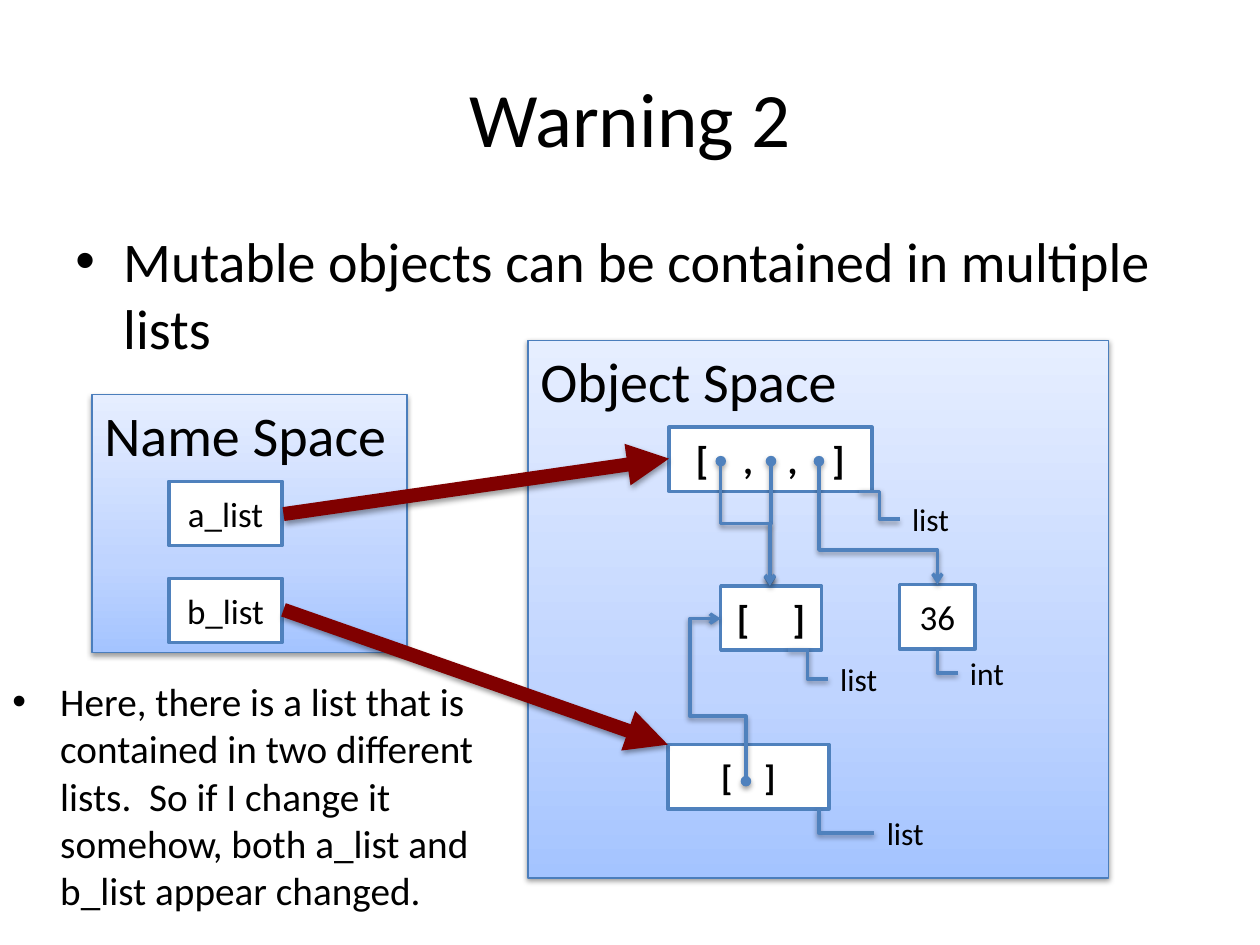
import copy

import lxml.etree
import pptx
import pptx.dml.color
import pptx.enum.shapes
import pptx.enum.text
import pptx.oxml.ns
import pptx.util

Inches = pptx.util.Inches
Pt = pptx.util.Pt
qn = pptx.oxml.ns.qn
ALIGN = pptx.enum.text.PP_ALIGN
ANCHOR = pptx.enum.text.MSO_ANCHOR
CONNECTOR = pptx.enum.shapes.MSO_CONNECTOR
RECT = pptx.enum.shapes.MSO_SHAPE.RECTANGLE


def rgb(color):
    return pptx.dml.color.RGBColor.from_string(color)


def child(parent, tag, **attrs):
    el = lxml.etree.SubElement(parent, qn(tag))
    for name, value in attrs.items():
        el.set(name, str(value))
    return el


def write(tf, text, size=20, bold=False, align=ALIGN.LEFT,
          anchor=ANCHOR.TOP, wrap=True, bullet=False):
    tf.word_wrap = wrap
    tf.vertical_anchor = anchor
    p = tf.paragraphs[0]
    p.alignment = align
    if bullet:
        pPr = p._p.get_or_add_pPr()
        pPr.set("marL", str(Inches(0.38)))
        pPr.set("indent", str(Inches(-0.38)))
        child(pPr, "a:buFont", typeface="Arial")
        child(pPr, "a:buChar", char="\u2022")
    r = p.add_run()
    r.text = text
    r.font.name = "Calibri"
    r.font.size = Pt(size)
    r.font.bold = bold
    r.font.color.rgb = rgb("000000")


class Diagram:
    blue = "4F81BD"
    red = "800000"
    gradient = [(0, "A4C4FF"), (35, "BFD4FF"), (100, "E6EEFF")]

    def __init__(self, slide):
        self.s = slide

    def title(self, text, box):
        sp = self.s.shapes.title
        sp.left, sp.top, sp.width, sp.height = map(Inches, box)
        write(sp.text_frame, text, size=44, align=ALIGN.CENTER, anchor=ANCHOR.MIDDLE)

    def text(self, text, box, **fmt):
        sp = self.s.shapes.add_textbox(*map(Inches, box))
        write(sp.text_frame, text, **fmt)

    def rect(self, box, line, width):
        sp = self.s.shapes.add_shape(RECT, *map(Inches, box))
        sp.shadow.inherit = False
        sp.line.color.rgb = rgb(line)
        sp.line.width = Pt(width)
        return sp

    def shadow(self, sp):
        spPr = sp._element.spPr
        effects = spPr.find(qn("a:effectLst"))
        if effects is None:
            effects = child(spPr, "a:effectLst")
        outer = child(effects, "a:outerShdw", blurRad=Pt(3.1), dist=Pt(1.6),
                      dir=5400000, rotWithShape=0)
        child(child(outer, "a:srgbClr", val="000000"), "a:alpha", val=38000)

    def panel(self, text, box):
        sp = self.rect(box, "4B7EBC", 0.75)
        sp.fill.gradient()
        sp.fill.gradient_angle = 90
        stops = sp._element.spPr.find(qn("a:gradFill")).find(qn("a:gsLst"))
        stops.append(copy.deepcopy(stops[0]))
        for stop, (position, color) in zip(sp.fill.gradient_stops, self.gradient):
            stop.position = position / 100
            stop.color.rgb = rgb(color)
        self.shadow(sp)
        write(sp.text_frame, text, size=32)

    def node(self, text, left, top, width, **fmt):
        sp = self.rect((left, top, width, 0.51), self.blue, 2)
        sp.fill.solid()
        sp.fill.fore_color.rgb = rgb("FFFFFF")
        write(sp.text_frame, text, align=ALIGN.CENTER, anchor=ANCHOR.MIDDLE, **fmt)

    def style_line(self, sp, color, width, head=None, tail=None):
        sp.line.color.rgb = rgb(color)
        sp.line.width = Pt(width)
        ln = sp.line._get_or_add_ln()
        if head:
            child(ln, "a:headEnd", type=head)
        if tail:
            child(ln, "a:tailEnd", type=tail)
        self.shadow(sp)

    def arrow(self, start, end):
        sp = self.s.shapes.add_connector(CONNECTOR.STRAIGHT, *map(Inches, start + end))
        self.style_line(sp, self.red, 8, tail="triangle")

    def elbow(self, start, end, bends=(0.5,), down=False, preset=3, **ends):
        """Bent line; down=True makes it leave its start vertically."""
        (x1, y1), (x2, y2) = start, end
        if down:
            # Lay the line out sideways around its centre, then turn it by 270 degrees
            cx, cy = (x1 + x2) / 2, (y1 + y2) / 2
            dx, dy = x2 - x1, y2 - y1
            x1, x2 = cx + dy / 2, cx - dy / 2
            y1, y2 = cy - dx / 2, cy + dx / 2
        sp = self.s.shapes.add_connector(CONNECTOR.ELBOW, *map(Inches, (x1, y1, x2, y2)))
        spPr = sp._element.spPr
        if down:
            spPr.find(qn("a:xfrm")).set("rot", str(270 * 60000))
        geom = spPr.find(qn("a:prstGeom"))
        geom.set("prst", f"bentConnector{preset}")
        guides = geom.find(qn("a:avLst"))
        if guides is None:
            guides = child(geom, "a:avLst")
        if preset > 2:
            for i, bend in enumerate(bends, 1):
                name = "adj" if preset == 3 else "adj"
                name += str(i)
                child(guides, "a:gd", name=name, fmla=f"val {round(bend * 100000)}")
        self.style_line(sp, self.blue, 2, **ends)

    def reference(self, start, end, **route):
        self.elbow(start, end, down=True, head="oval", tail="arrow", **route)

    def type_label(self, text, start, end, **route):
        """Type name with a bent leader running to its left edge."""
        x, y = end
        self.text(text, (x, y - 0.2, 0.5, 0.4), size=18, wrap=False)
        self.elbow(start, end, **route)


prs = pptx.Presentation()
prs.slide_width, prs.slide_height = Inches(10), Inches(7.5)
d = Diagram(prs.slides.add_slide(prs.slide_layouts[5]))

# Heading and main point
d.title("Warning 2", (0.5, 0.3, 9, 1.25))
d.text("Mutable objects can be contained in multiple lists",
       (0.5, 1.75, 9, 4.95), size=32, bullet=True)

# Object space and the list a_list refers to
d.panel("Object Space", (4.19, 2.7, 4.61, 4.27))
d.node("[    ,    ,    ]", 5.31, 3.39, 1.61, size=22, bold=True)
d.type_label("list", (6.82, 3.9), (7.14, 4.12))

# Name space
d.panel("Name Space ", (0.73, 3.13, 2.5, 2.05))
d.node("a_list", 1.34, 3.82, 0.9)
d.arrow((2.25, 4.08), (5.31, 3.64))

# Integer and shared inner list
d.node("36", 7.14, 4.64, 0.6)
d.type_label("int", (7.44, 5.15), (7.6, 5.34), down=True, preset=2)
d.reference((6.5, 3.66), (7.44, 4.64), bends=(0.72,))
d.reference((6.12, 3.66), (6.11, 4.66))
d.node("[     ]", 5.72, 4.65, 0.8, size=22, bold=True)
d.type_label("list", (6.25, 5.16), (6.57, 5.39))

# List b_list refers to
d.node("[    ]", 5.3, 5.91, 1.28, bold=True)
d.type_label("list", (6.5, 6.42), (6.94, 6.61), down=True, preset=2)
d.reference((5.72, 3.66), (6.11, 4.65))
d.reference((5.92, 6.2), (5.72, 4.91), preset=4, bends=(0.4, 2.22))
d.node("b_list", 1.34, 4.59, 0.9)
d.arrow((2.25, 4.84), (5.3, 5.91))

# Explanation
d.text("Here, there is a list that is contained in two different lists.  So if I "
       "change it somehow, both a_list and b_list appear changed.",
       (0, 5.33, 4.2, 2.01), size=22.4, bullet=True)

prs.save("out.pptx")
